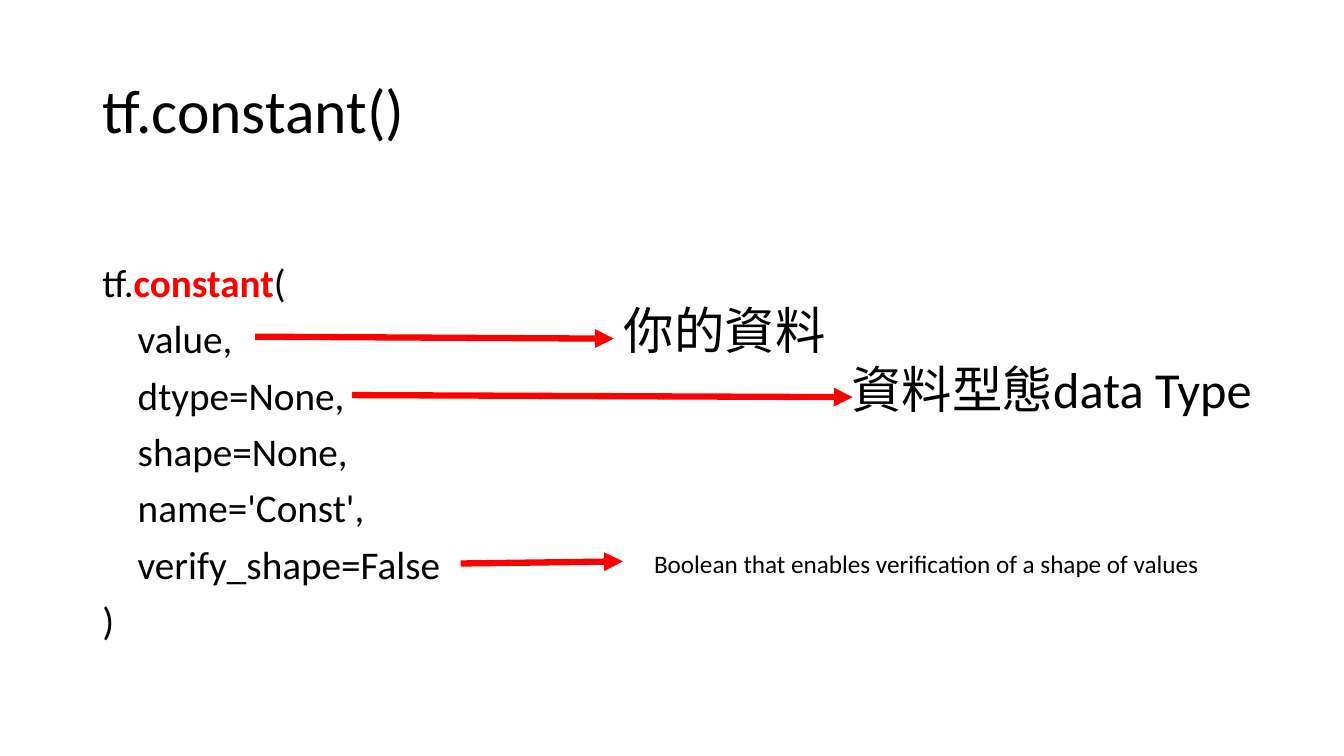
import pptx
import pptx.util
import pptx.dml.color
import pptx.enum.shapes
import pptx.enum.text
import pptx.oxml.ns
import lxml.etree

Pt = pptx.util.Pt
HUES = {"ink": "000000", "mark": "FF0000"}
FONT = "Calibri"


class Page:
    """Holds the style and the current slide."""

    def __init__(self, deck):
        self.slide = deck.slides.add_slide(deck.slide_layouts[1])

    def hue(self, name):
        return pptx.dml.color.RGBColor.from_string(HUES[name])

    def style(self, run, size, hue="ink", bold=False):
        run.font.name = FONT
        run.font.size = Pt(size)
        run.font.bold = bold
        run.font.color.rgb = self.hue(hue)

    def place(self, shape, left, top, width, height):
        shape.left, shape.top = Pt(left), Pt(top)
        shape.width, shape.height = Pt(width), Pt(height)
        shape.text_frame.auto_size = pptx.enum.text.MSO_AUTO_SIZE.NONE

    def title(self, text, box):
        shape = self.slide.shapes.title
        self.place(shape, *box)
        frame = shape.text_frame
        frame.text = text
        frame.vertical_anchor = pptx.enum.text.MSO_ANCHOR.MIDDLE
        para = frame.paragraphs[0]
        para.alignment = pptx.enum.text.PP_ALIGN.LEFT
        para.line_spacing = 0.9
        self.style(para.runs[0], 44)

    def code(self, lines, box, inset):
        """Each line is an indent and a list of (text, hue, bold) parts."""
        shape = self.slide.placeholders[1]
        self.place(shape, *box)
        frame = shape.text_frame
        frame.margin_top = Pt(inset)
        for i, (indent, parts) in enumerate(lines):
            para = frame.add_paragraph() if i else frame.paragraphs[0]
            para.line_spacing = 0.9
            para.space_before = Pt(10 if i else 0)
            props = para._p.get_or_add_pPr()
            props.set("marL", str(Pt(indent)))
            props.set("indent", "0")
            lxml.etree.SubElement(props, pptx.oxml.ns.qn("a:buNone"))
            for text, hue, bold in parts:
                run = para.add_run()
                run.text = text
                self.style(run, 28, hue, bold)

    def note(self, text, box, size, wrap=False):
        shape = self.slide.shapes.add_textbox(*map(Pt, box))
        frame = shape.text_frame
        frame.word_wrap = wrap
        frame.text = text
        self.style(frame.paragraphs[0].runs[0], size)

    def arrow(self, start, end):
        kind = pptx.enum.shapes.MSO_CONNECTOR.STRAIGHT
        link = self.slide.shapes.add_connector(kind, *map(Pt, start + end))
        link.line.color.rgb = self.hue("mark")
        link.line.width = Pt(4.5)
        qn = pptx.oxml.ns.qn
        tip = lxml.etree.SubElement(link.line._get_or_add_ln(), qn("a:tailEnd"))
        tip.set("type", "triangle")
        lxml.etree.SubElement(link._element.spPr, qn("a:effectLst"))


def main():
    deck = pptx.Presentation()
    deck.slide_width, deck.slide_height = Pt(960), Pt(540)
    page = Page(deck)

    # Title
    page.title("tf.constant()", (66, 28.8, 828, 104.4))

    # Function call with its arguments
    args = ["value,", "dtype=None,", "shape=None,", "name='Const',",
            "verify_shape=False"]
    head = [("tf.", "ink", False), ("constant", "mark", True),
            ("(", "ink", False)]
    lines = [(0, head)]
    lines += [(25.2, [(arg, "ink", False)]) for arg in args]
    lines += [(0, [(")", "ink", False)])]
    page.code(lines, (66, 144, 289.4, 324), 44.3)

    # Notes on the arguments
    page.note("Boolean that enables verification of a shape of values",
              (460.1, 388.1, 408.2, 28.8), 18)
    page.note("你的資料", (438.5, 210.2, 159.8, 51.1), 36)
    page.note("資料型態data Type", (601.2, 252, 303.1, 51.1), 36, wrap=True)

    # Arrows from argument to note
    page.arrow((329, 402.5), (445, 401))
    page.arrow((182.2, 240.5), (438.5, 241.9))
    page.arrow((251.3, 282.2), (609.1, 283.7))

    deck.save("out.pptx")


if __name__ == "__main__":
    main()
